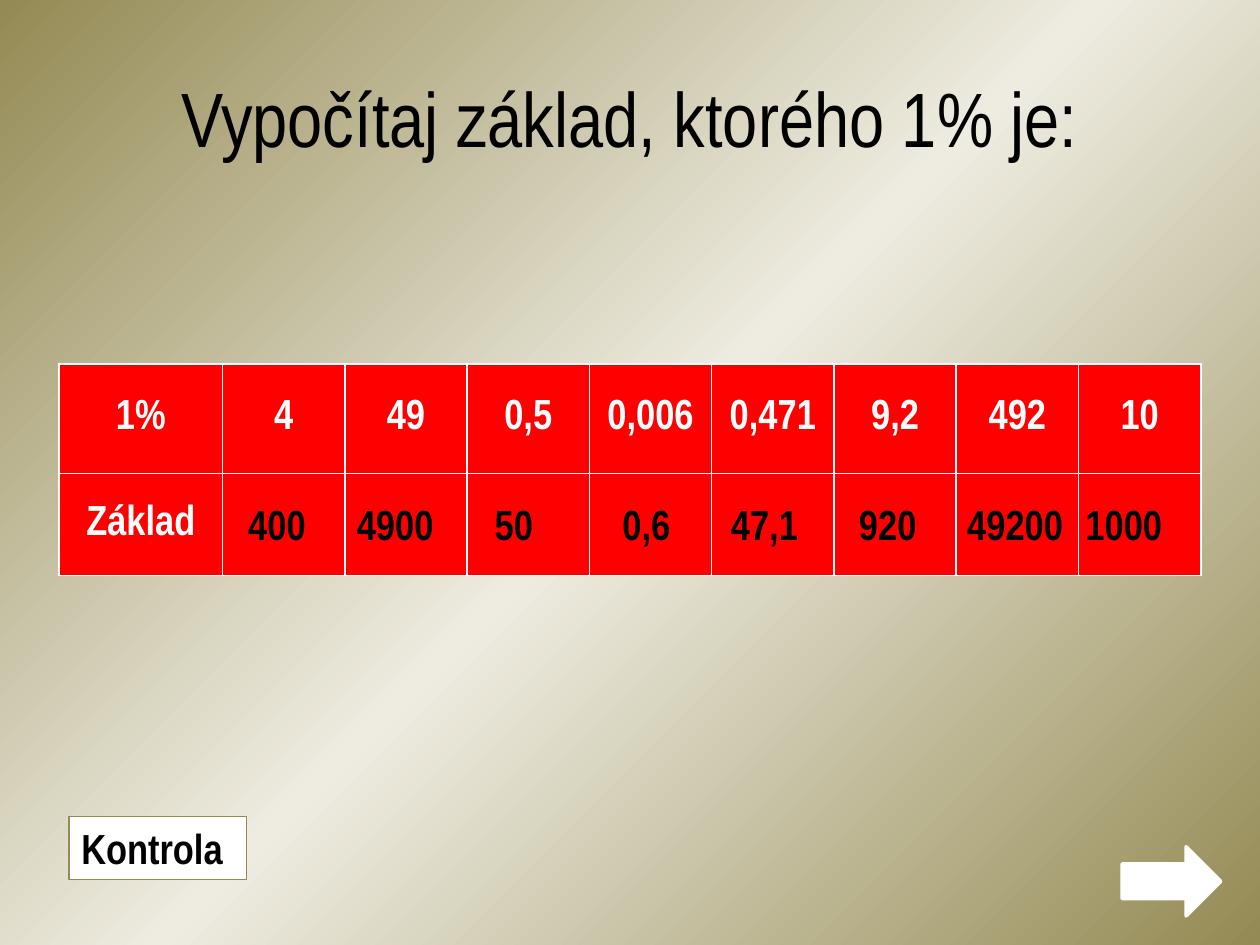
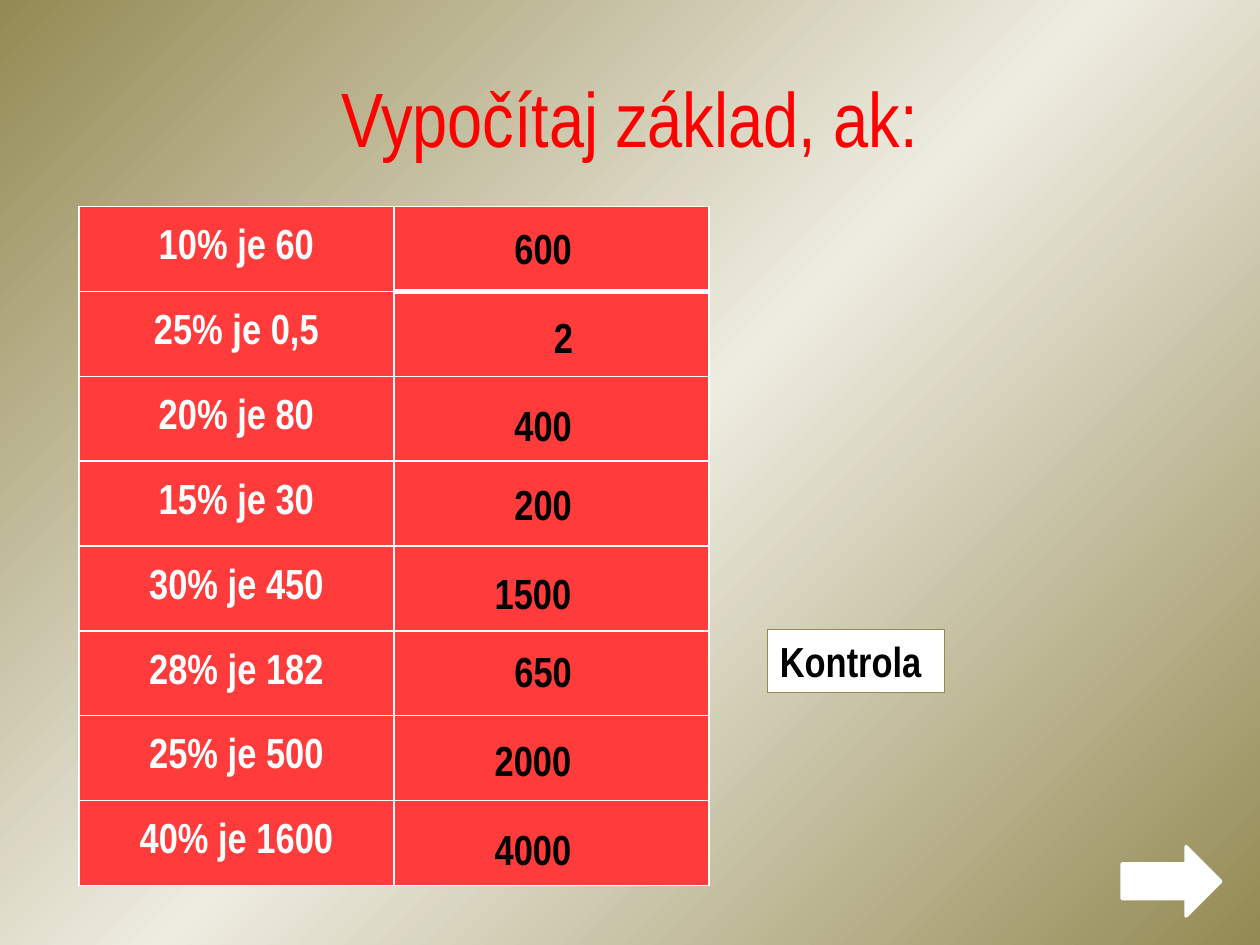
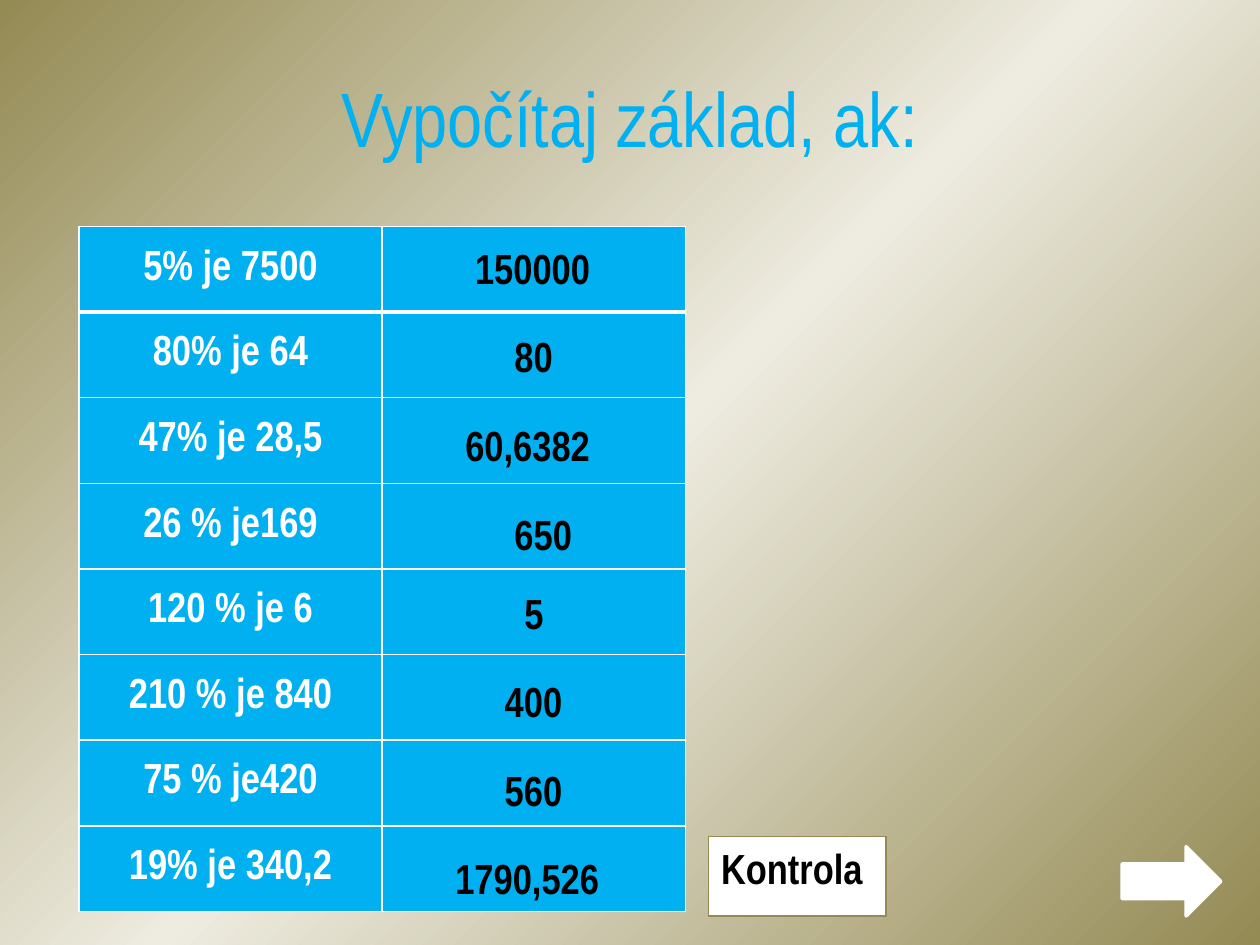
from copy import deepcopy

from lxml.etree import SubElement
from pptx import Presentation
from pptx.dml.color import RGBColor
from pptx.enum.shapes import MSO_SHAPE as SHAPE
from pptx.enum.text import MSO_ANCHOR as ANCHOR, PP_ALIGN as ALIGN
from pptx.oxml.ns import qn
from pptx.util import Pt

FONT = "Arial Narrow"
OLIVE = RGBColor(0x94, 0x8A, 0x54)
CREAM = RGBColor(0xEE, 0xEC, 0xE1)
WHITE = RGBColor(0xFF, 0xFF, 0xFF)
BLACK = RGBColor(0x00, 0x00, 0x00)
RED = RGBColor(0xFF, 0x00, 0x00)
CORAL = RGBColor(0xFF, 0x3B, 0x3B)
BLUE = RGBColor(0x00, 0xB0, 0xF0)

# Answers are (text, left, top, width); table and check are (left, top) and
# (left, top, height); thick lists the first-row columns with a heavy lower rule.
EXERCISES = [
    dict(
        title="Vypočítaj základ, ktorého 1% je:", title_color=BLACK, fill=RED,
        table=(33.8, 208), columns=[93.4] + [69.9] * 8, rows=[62.6, 58.3], thick=(),
        cells=[["1%", "4", "49", "0,5", "0,006", "0,471", "9,2", "492", "10"], ["Základ"]],
        check=(39.4, 466.6, 36), grouped=True,
        answers=[
            ("400", 134.8, 281.4, 50.4), ("4900", 196.8, 281.4, 67.6),
            ("50", 275.6, 281.4, 45), ("0,6", 348.6, 281.4, 45),
            ("47,1", 410.6, 281.4, 56.7), ("920", 483.8, 281.4, 56),
            ("49200", 545.6, 281.4, 73.4), ("1000", 613.2, 281.4, 62),
        ],
    ),
    dict(
        title="Vypočítaj základ, ak:", title_color=RED, fill=CORAL,
        table=(45, 118.1), columns=[180] * 2, rows=[48.5] * 8, thick=(1,),
        cells=[["10% je 60"], ["25% je 0,5"], ["20% je 80"], ["15% je 30"],
               ["30% je 450"], ["28% je 182"], ["25% je 500"], ["40% je 1600"]],
        check=(438.6, 359.8, 36), grouped=False,
        answers=[
            ("600", 286.9, 123.8, 73.6), ("2", 309.4, 174.5, 73.6),
            ("400", 286.9, 225, 73.6), ("200", 286.9, 270, 73.6),
            ("1500", 275.6, 320.6, 73.6), ("650", 286.9, 365.6, 73.6),
            ("2000", 275.6, 416.3, 73.6), ("4000", 275.6, 466.9, 73.6),
        ],
    ),
    dict(
        title="Vypočítaj základ, ak:", title_color=BLUE, fill=BLUE,
        table=(45, 129.4), columns=[173.3] * 2, rows=[48.95] * 8, thick=(0, 1),
        cells=[["5% je 7500"], ["80% je 64"], ["47% je 28,5"], ["26 % je169"],
               ["120 % je 6"], ["210 % je 840"], ["75 % je420"], ["19% je 340,2"]],
        check=(405, 478.1, 45.4), grouped=False,
        answers=[
            ("150000", 264.4, 135, 84.4), ("80", 286.9, 185.6, 84.4),
            ("60,6382", 258.8, 236.3, 95.6), ("650", 286.9, 286.9, 84.4),
            ("5", 292.5, 331.9, 84.4), ("400", 281.3, 382.5, 84.4),
            ("560", 281.3, 433.1, 84.4), ("1790,526", 253.1, 483.8, 118.1),
        ],
    ),
]


def write(frame, text, color, size=24, bold=True, align=ALIGN.LEFT):
    frame.word_wrap = True
    paragraph = frame.paragraphs[0]
    paragraph.text = text
    paragraph.alignment = align
    font = paragraph.font
    font.name, font.size, font.bold = FONT, Pt(size), bold
    font.color.rgb = color


def rule_cell(cell, bottom_width):
    """Draw white borders on all four sides; only the lower one varies."""
    properties = cell._tc.get_or_add_tcPr()
    sides = [("a:lnL", 1), ("a:lnR", 1), ("a:lnT", 1), ("a:lnB", bottom_width)]
    for position, (side, width) in enumerate(sides):
        line = SubElement(properties, qn(side), w=str(Pt(width)))
        paint = SubElement(line, qn("a:solidFill"))
        SubElement(paint, qn("a:srgbClr"), val=str(WHITE))
        properties.insert(position, line)


prs = Presentation()
prs.slide_width, prs.slide_height = Pt(720), Pt(540)

# The diagonal sheen behind every slide
master = prs.slide_master
sheen = master.background.fill
sheen.gradient()
sheen.gradient_angle = 315
for stop in sheen.gradient_stops:
    stop.color.rgb = OLIVE
stop_list = master.element.find(".//" + qn("p:bg")).find(".//" + qn("a:gsLst"))
stop_list.insert(1, deepcopy(stop_list[0]))
for stop, color, position in zip(sheen.gradient_stops, (OLIVE, CREAM, OLIVE), (0, 0.5, 1)):
    stop.color.rgb = color
    stop.position = position

for exercise in EXERCISES:
    slide = prs.slides.add_slide(prs.slide_layouts[6])
    shapes = slide.shapes

    title = shapes.add_textbox(Pt(36), Pt(21.6), Pt(648), Pt(90)).text_frame
    title.vertical_anchor = ANCHOR.MIDDLE
    write(title, exercise["title"], exercise["title_color"], 44, False, ALIGN.CENTER)

    columns, rows = exercise["columns"], exercise["rows"]
    left, top = exercise["table"]
    table = shapes.add_table(len(rows), len(columns), Pt(left), Pt(top),
                             Pt(sum(columns)), Pt(sum(rows))).table
    for column, width in zip(table.columns, columns):
        column.width = Pt(width)
    for r, height in enumerate(rows):
        table.rows[r].height = Pt(height)
        for c in range(len(columns)):
            cell = table.cell(r, c)
            cell.fill.solid()
            cell.fill.fore_color.rgb = exercise["fill"]
            cell.vertical_anchor = ANCHOR.MIDDLE
            rule_cell(cell, 3 if r == 0 and c in exercise["thick"] else 1)
            if c < len(exercise["cells"][r]):
                write(cell.text_frame, exercise["cells"][r][c], WHITE, align=ALIGN.CENTER)

    answer_shapes = shapes.add_group_shape().shapes if exercise["grouped"] else shapes
    for text, left, top, width in exercise["answers"]:
        answer = answer_shapes.add_textbox(Pt(left), Pt(top), Pt(width), Pt(36))
        write(answer.text_frame, text, BLACK)

    left, top, height = exercise["check"]
    check = shapes.add_shape(SHAPE.RECTANGLE, Pt(left), Pt(top), Pt(101.3), Pt(height))
    check.text_frame.vertical_anchor = ANCHOR.TOP
    write(check.text_frame, "Kontrola", BLACK)
    next_arrow = shapes.add_shape(SHAPE.RIGHT_ARROW, Pt(641.2), Pt(483.8), Pt(56.4), Pt(39.6))
    for button, color, width in ((check, OLIVE, 0.75), (next_arrow, WHITE, 2)):
        button.shadow.inherit = False
        button.fill.solid()
        button.fill.fore_color.rgb = WHITE
        button.line.color.rgb = color
        button.line.width = Pt(width)

prs.save("out.pptx")
